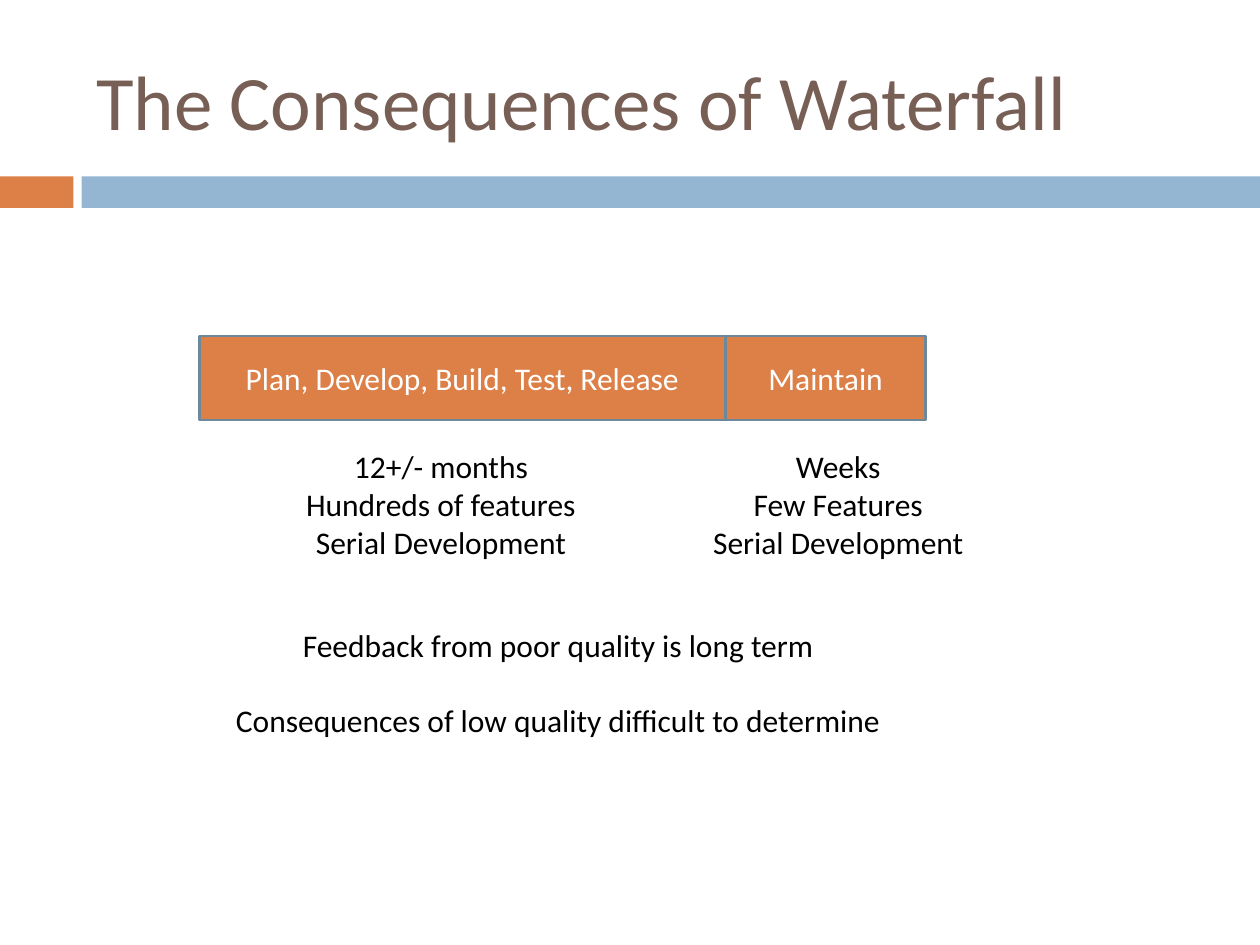
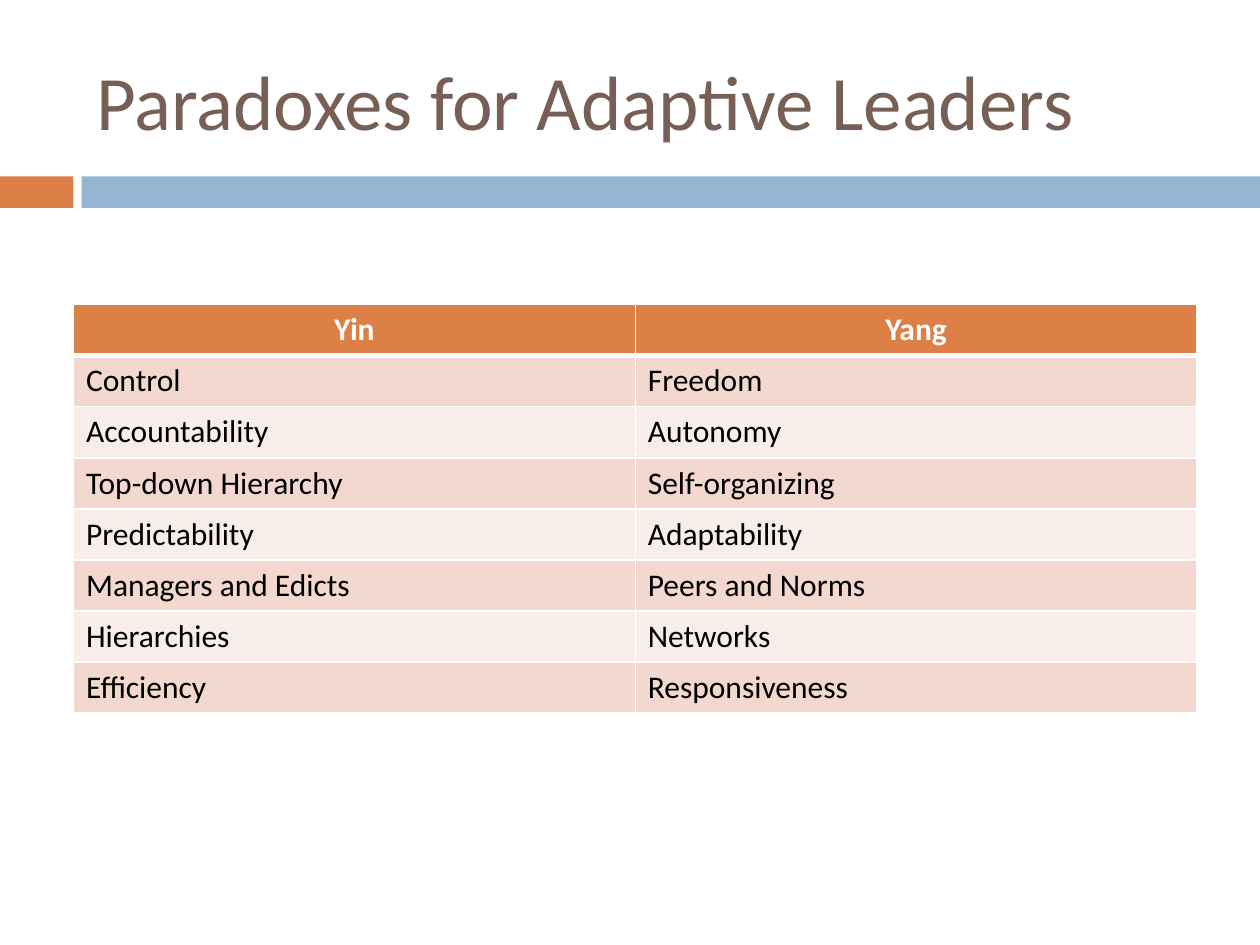
from lxml import etree
from pptx import Presentation
from pptx.dml import color
from pptx.enum import shapes, text
from pptx.oxml import ns
from pptx.util import Pt

HUES = {
    "orange": "DD8047", "blue": "94B6D2", "edge": "6D879B", "brown": "775F55",
    "white": "FFFFFF", "black": "000000", "dark": "F2D8CF", "light": "F9EDE9",
}
FONT = "Calibri"
WIDE, HIGH = 720, 540
BAND_TOP, BAND_HIGH = 100.8, 18
LEFT, MID = text.PP_ALIGN.LEFT, text.PP_ALIGN.CENTER


def hue(name):
    return color.RGBColor.from_string(HUES[name])


def border(cell, side, name, width):
    """Draw one side (L, R, T or B) of a cell; call in that order, before the fill."""
    props = cell._tc.get_or_add_tcPr()
    line = etree.SubElement(props, ns.qn("a:ln" + side), w=str(Pt(width)))
    fill = etree.SubElement(line, ns.qn("a:solidFill"))
    etree.SubElement(fill, ns.qn("a:srgbClr"), val=HUES[name])


class Deck:
    def __init__(self):
        self.deck = Presentation()
        self.deck.slide_width, self.deck.slide_height = Pt(WIDE), Pt(HIGH)
        self.slide = None

    def page(self, title):
        """Start a slide with its two bands and its title."""
        self.slide = self.deck.slides.add_slide(self.deck.slide_layouts[6])
        self.rect(0, BAND_TOP, 42, BAND_HIGH, "orange")
        self.rect(46.6, BAND_TOP, WIDE - 46.6, BAND_HIGH, "blue")
        self.label(48, 18, 642, 78, [title], 44, "brown", LEFT, wrap=True)

    def words(self, frame, lines, size=18, tint="black", align=MID, bold=False, gap=0):
        """Fill a text frame, one paragraph a line."""
        for i, line in enumerate(lines):
            para = frame.add_paragraph() if i else frame.paragraphs[0]
            para.alignment = align
            if i and gap:
                para.space_before = Pt(gap)
            run = para.add_run()
            run.text = line
            font = run.font
            font.name, font.size, font.bold = FONT, Pt(size), bold
            font.color.rgb = hue(tint)

    def rect(self, x, y, w, h, fill, name=None):
        """Draw a plain band, or an edged box when it has a name."""
        kind = shapes.MSO_SHAPE.RECTANGLE
        box = self.slide.shapes.add_shape(kind, Pt(x), Pt(y), Pt(w), Pt(h))
        box.shadow.inherit = False
        box.fill.solid()
        box.fill.fore_color.rgb = hue(fill)
        if name is None:
            box.line.fill.background()
            return
        box.line.color.rgb = hue("edge")
        box.line.width = Pt(1.5)
        box.text_frame.vertical_anchor = text.MSO_ANCHOR.MIDDLE
        self.words(box.text_frame, [name], tint="white")

    def label(self, x, y, w, h, lines, size=18, tint="black", align=MID,
              gap=0, wrap=False):
        frame = self.slide.shapes.add_textbox(Pt(x), Pt(y), Pt(w), Pt(h)).text_frame
        frame.word_wrap = wrap
        if wrap:
            frame.vertical_anchor = text.MSO_ANCHOR.MIDDLE
        self.words(frame, lines, size, tint, align, gap=gap)

    def table(self, x, y, w, row_high, rows):
        count, cols = len(rows), len(rows[0])
        grid = self.slide.shapes.add_table(
            count, cols, Pt(x), Pt(y), Pt(w), Pt(row_high * count)).table
        for r, row in enumerate(rows):
            grid.rows[r].height = Pt(row_high)
            head = r == 0
            for c, entry in enumerate(row):
                cell = grid.cell(r, c)
                for side in "LRTB":
                    thick = (r, side) in ((0, "B"), (1, "T"))
                    border(cell, side, "white", 3 if thick else 1)
                cell.fill.solid()
                cell.fill.fore_color.rgb = hue(
                    "orange" if head else "dark" if r % 2 else "light")
                self.words(cell.text_frame, [entry], bold=head,
                           tint="white" if head else "black",
                           align=MID if head else LEFT)


def main():
    show = Deck()

    show.page("The Consequences of Waterfall")
    show.rect(414.5, 192, 114.5, 48, "orange", "Maintain")
    show.rect(114, 192, 300.5, 48, "orange", "Plan, Develop, Build, Test, Release")
    show.label(160, 252, 184, 72.7,
               ["12+/- months", "Hundreds of features", "Serial Development"])
    show.label(392.5, 252, 173, 72.7,
               ["Weeks", "Few Features", "Serial Development"])
    show.label(110, 354, 418, 72.7,
               ["Feedback from poor quality is long term",
                "Consequences of low quality difficult to determine"], gap=21.5)

    show.page("Paradoxes for Adaptive Leaders")
    show.table(42, 174, 642, 29.2, [
        ("Yin", "Yang"),
        ("Control", "Freedom"),
        ("Accountability", "Autonomy"),
        ("Top-down Hierarchy", "Self-organizing"),
        ("Predictability", "Adaptability"),
        ("Managers and Edicts", "Peers and Norms"),
        ("Hierarchies", "Networks"),
        ("Efficiency", "Responsiveness"),
    ])

    show.deck.save("out.pptx")


if __name__ == "__main__":
    main()
